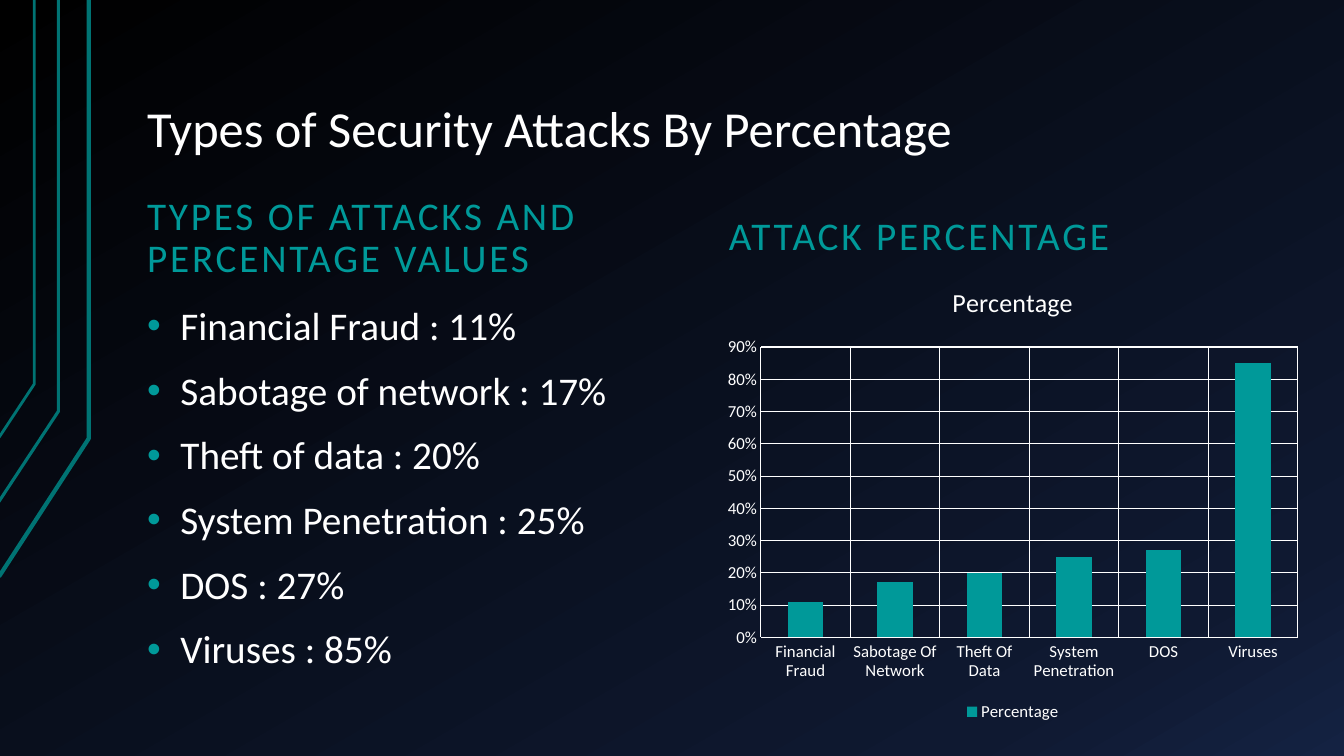
from copy import deepcopy

from lxml.etree import SubElement
from pptx import Presentation
from pptx.chart.data import CategoryChartData
from pptx.dml.color import RGBColor
from pptx.enum.chart import XL_CHART_TYPE, XL_LEGEND_POSITION, XL_TICK_MARK
from pptx.enum.text import MSO_ANCHOR, MSO_AUTO_SIZE, PP_ALIGN
from pptx.oxml.ns import qn
from pptx.util import Inches, Pt

COLORS = {
    "black": "000000",
    "navy": "0F1931",
    "blue": "142242",
    "rail": "007373",
    "teal": "009999",
    "white": "FFFFFF",
}
FONT = "Calibri"
ATTACKS = [
    "Financial Fraud : 11%",
    "Sabotage of network : 17%",
    "Theft of data : 20%",
    "System Penetration : 25%",
    "DOS : 27%",
    "Viruses : 85%",
]
PERCENTAGES = {
    "Financial Fraud": 0.11,
    "Sabotage Of Network": 0.17,
    "Theft Of Data": 0.2,
    "System Penetration": 0.25,
    "DOS": 0.27,
    "Viruses": 0.85,
}


def rgb(name):
    return RGBColor.from_string(COLORS[name])


def style_font(font, size, color):
    font.name = FONT
    font.size = Pt(size)
    font.color.rgb = rgb(color)
    font.bold = False


def paint_background(slide):
    fill = slide.background.fill
    fill.gradient()
    fill.gradient_angle = 300
    stop_list = next(slide.element.iter(qn("a:gsLst")))
    stop_list.append(deepcopy(stop_list[0]))
    shades = [(0, "black"), (0.85, "navy"), (1, "blue")]
    for stop, (position, color) in zip(fill.gradient_stops, shades):
        stop.position = position
        stop.color.rgb = rgb(color)


def draw_rail(slide, start, bend, width):
    builder = slide.shapes.build_freeform(
        Inches(start[0]), Inches(start[1]))
    corners = [bend, (bend[0], 0)]
    builder.add_line_segments(
        [(Inches(x), Inches(y)) for x, y in corners], close=False)
    rail = builder.convert_to_shape()
    rail.shadow.inherit = False
    rail.fill.background()
    rail.line.color.rgb = rgb("rail")
    rail.line.width = Pt(width)


def prepare_frame(frame, anchor):
    frame.word_wrap = True
    frame.auto_size = MSO_AUTO_SIZE.NONE
    frame.vertical_anchor = anchor
    frame.margin_left = frame.margin_right = Inches(0.13)
    frame.margin_top = frame.margin_bottom = Inches(0.07)


def style_paragraph(paragraph, size, color):
    paragraph.alignment = PP_ALIGN.LEFT
    paragraph.line_spacing = 0.9
    style_font(paragraph.font, size, color)


def place_title(slide, left, top, width, height):
    title = slide.shapes.title
    title.left, title.top = Inches(left), Inches(top)
    title.width, title.height = Inches(width), Inches(height)
    prepare_frame(title.text_frame, MSO_ANCHOR.BOTTOM)
    title.text_frame.text = "Types of Security Attacks By Percentage"
    style_paragraph(title.text_frame.paragraphs[0], 36, "white")


def add_heading(slide, text, left, top, width, height):
    frame = slide.shapes.add_textbox(
        Inches(left), Inches(top), Inches(width), Inches(height)).text_frame
    prepare_frame(frame, MSO_ANCHOR.BOTTOM)
    frame.text = text
    heading = frame.paragraphs[0]
    style_paragraph(heading, 28, "teal")
    heading.runs[0].font._element.set("spc", "200")


def add_bullet(paragraph):
    properties = paragraph._p.get_or_add_pPr()
    properties.set("marL", str(Inches(0.33)))
    properties.set("indent", str(-Inches(0.33)))
    bullet_color = SubElement(properties, qn("a:buClr"))
    SubElement(bullet_color, qn("a:srgbClr"), val=COLORS["teal"])
    SubElement(properties, qn("a:buFont"), typeface="Arial")
    SubElement(properties, qn("a:buChar"), char="•")


def add_attack_list(slide, left, top, width, height):
    frame = slide.shapes.add_textbox(
        Inches(left), Inches(top), Inches(width), Inches(height)).text_frame
    prepare_frame(frame, MSO_ANCHOR.TOP)
    frame.text = "\n".join(ATTACKS)
    for index, attack in enumerate(frame.paragraphs):
        add_bullet(attack)
        style_paragraph(attack, 28, "white")
        if index:
            attack.space_before = Pt(16)


def style_axis(axis):
    axis.major_tick_mark = XL_TICK_MARK.NONE
    axis.minor_tick_mark = XL_TICK_MARK.NONE
    axis.format.line.fill.background()
    axis.has_major_gridlines = True
    axis.major_gridlines.format.line.color.rgb = rgb("white")
    axis.major_gridlines.format.line.width = Pt(0.75)
    style_font(axis.tick_labels.font, 12, "white")


def add_percentage_chart(slide, left, top, width, height):
    data = CategoryChartData(number_format="0%")
    data.categories = list(PERCENTAGES)
    data.add_series("Percentage", list(PERCENTAGES.values()))
    chart = slide.shapes.add_chart(
        XL_CHART_TYPE.COLUMN_CLUSTERED, Inches(left), Inches(top),
        Inches(width), Inches(height), data).chart
    style_font(chart.font, 10, "white")
    chart.has_title = True
    chart.chart_title.include_in_layout = False
    chart.chart_title.text_frame.text = "Percentage"
    style_font(chart.chart_title.text_frame.paragraphs[0].font, 18.6, "white")
    chart.has_legend = True
    chart.legend.position = XL_LEGEND_POSITION.BOTTOM
    chart.legend.include_in_layout = False
    style_font(chart.legend.font, 12, "white")
    style_axis(chart.category_axis)
    style_axis(chart.value_axis)
    chart.value_axis.minimum_scale = 0
    chart.value_axis.maximum_scale = 0.9
    chart.value_axis.major_unit = 0.1
    chart.value_axis.tick_labels.number_format = "0%"
    chart.value_axis.tick_labels.number_format_is_linked = False
    plot = chart.plots[0]
    plot.gap_width = 150
    plot.vary_by_categories = False
    columns = plot.series[0].format.fill
    columns.solid()
    columns.fore_color.rgb = rgb("teal")


def main():
    deck = Presentation()
    deck.slide_width, deck.slide_height = Inches(13.33), Inches(7.5)
    slide = deck.slides.add_slide(deck.slide_layouts[5])
    paint_background(slide)
    draw_rail(slide, (-0.01, 5.72), (0.88, 4.35), 3)
    draw_rail(slide, (-0.02, 4.99), (0.58, 4.08), 2.25)
    draw_rail(slide, (-0.01, 4.34), (0.34, 3.81), 2)
    place_title(slide, 1.33, 0.3, 11.33, 1.34)
    add_heading(slide, "TYPES OF ATTACKS AND PERCENTAGE VALUES",
                1.33, 1.86, 5.56, 1)
    add_attack_list(slide, 1.33, 2.97, 5.55, 3.78)
    add_heading(slide, "ATTACK PERCENTAGE", 7.1, 1.64, 5.56, 1)
    add_percentage_chart(slide, 7.1, 2.63, 5.89, 4.57)
    deck.save("out.pptx")


if __name__ == "__main__":
    main()
